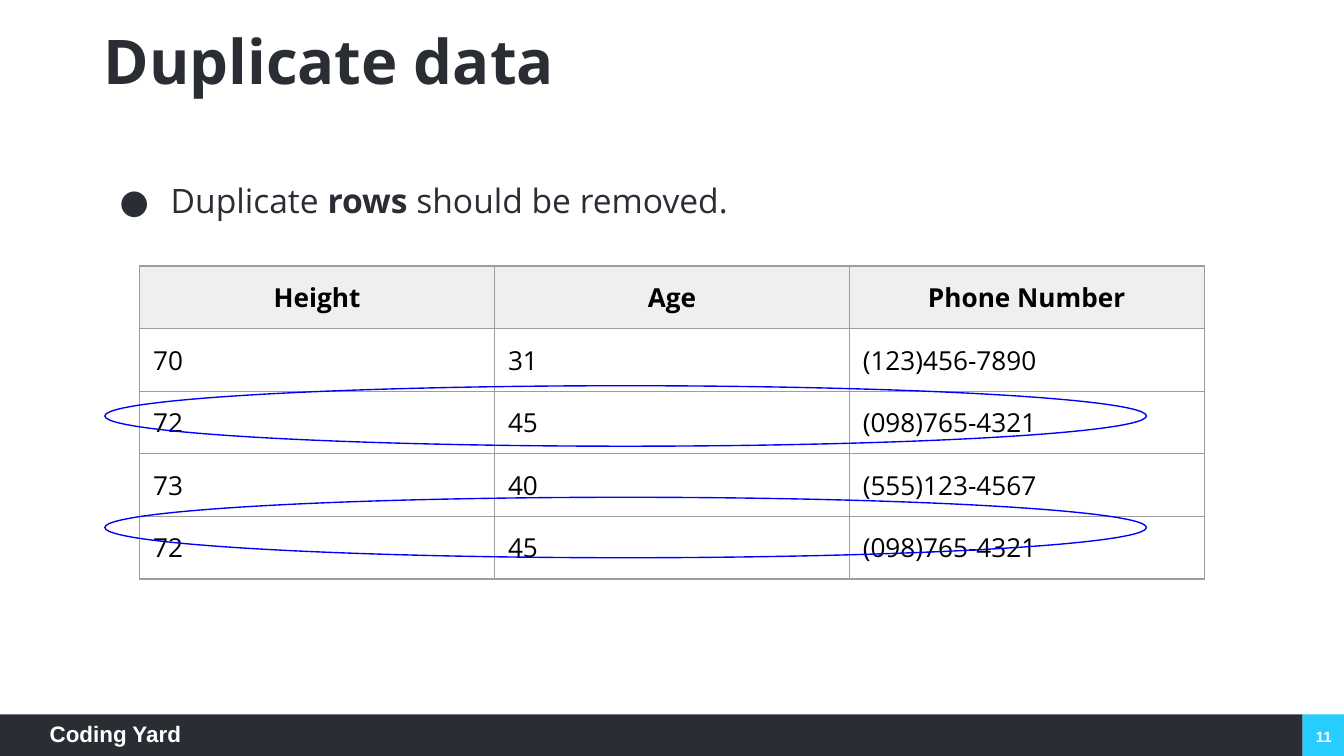
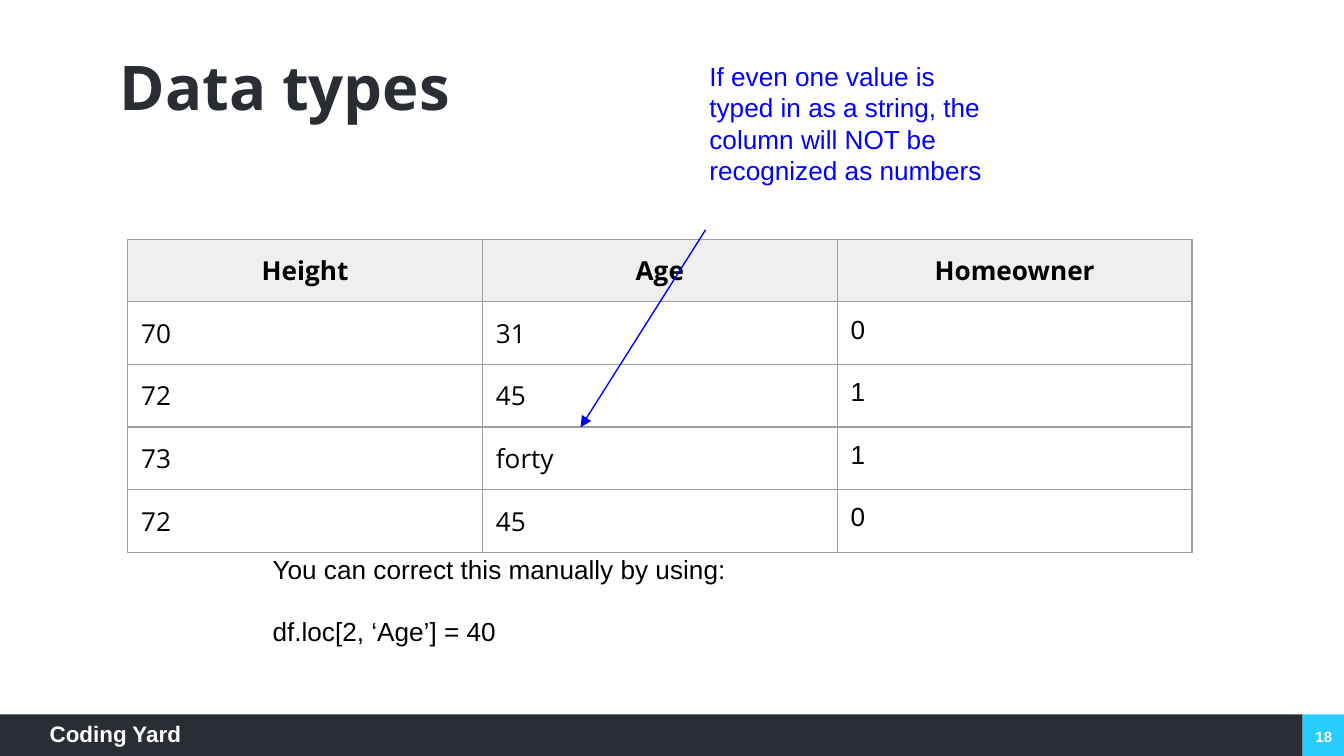
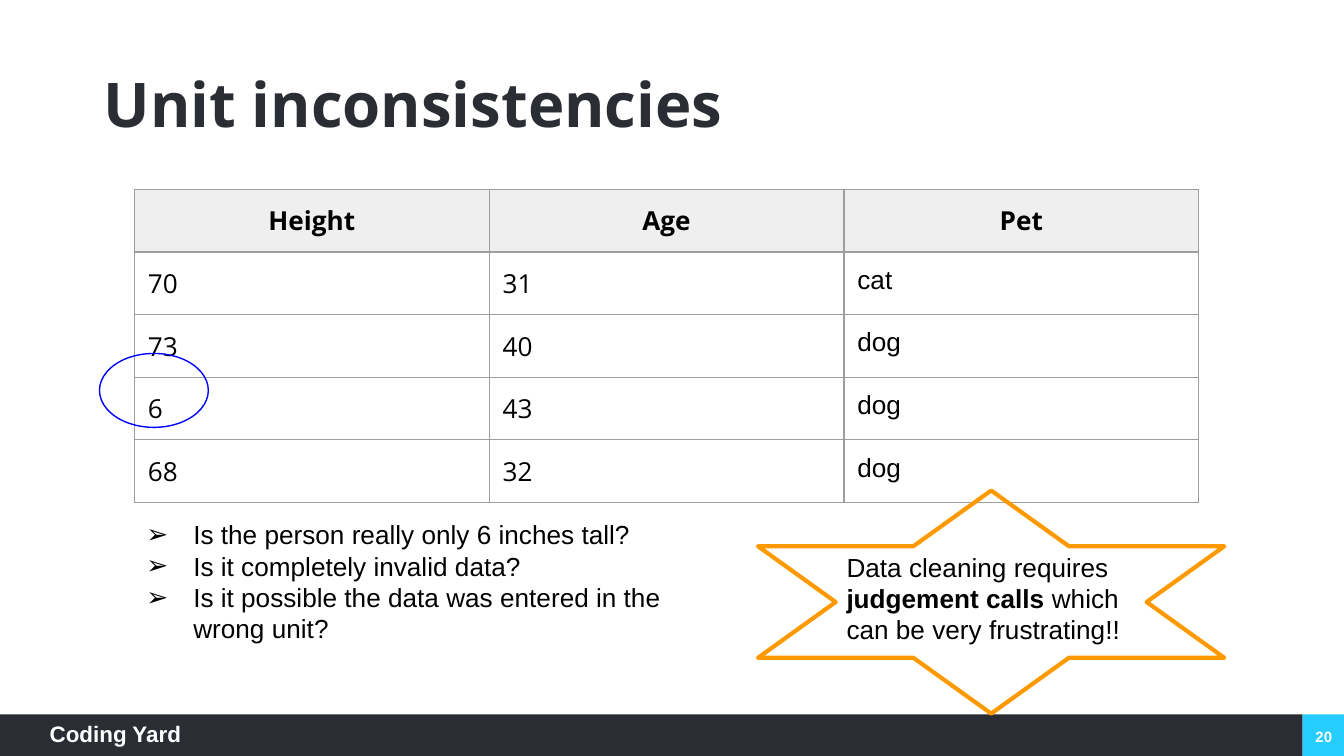
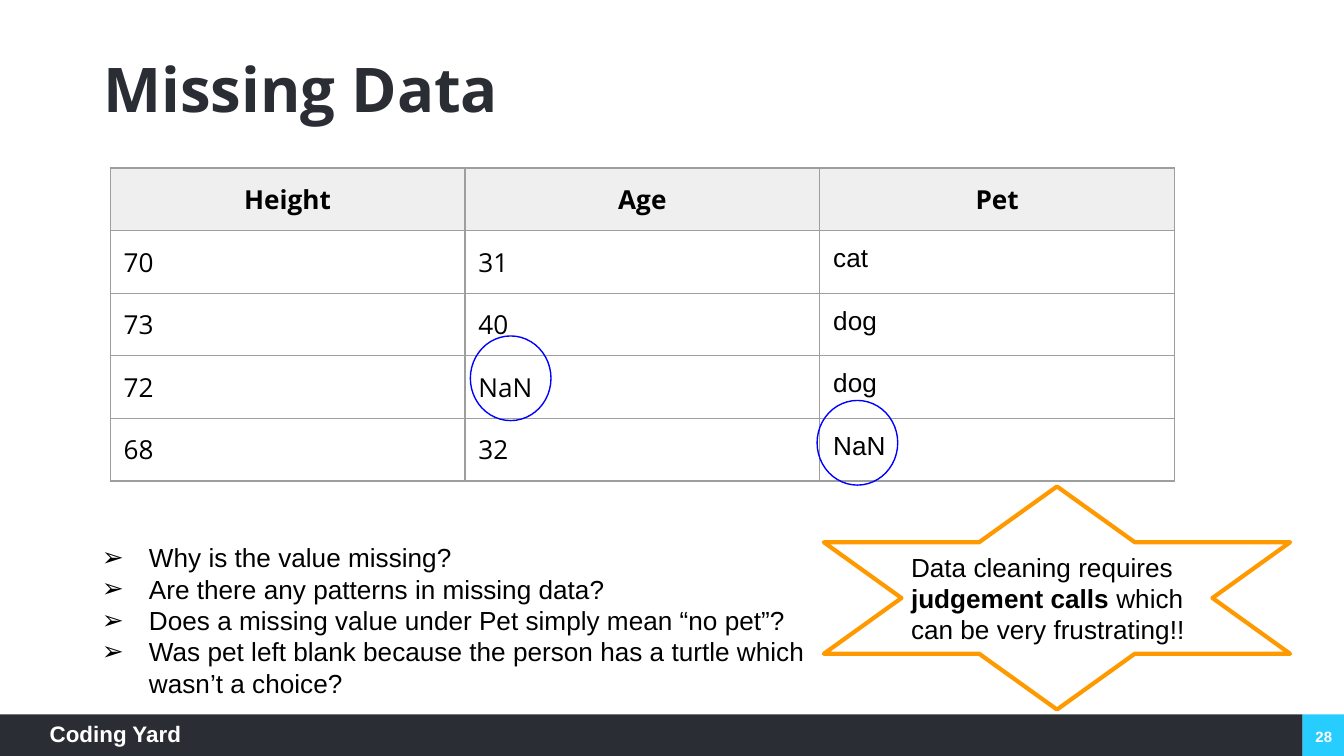
from pptx import Presentation
from pptx.dml.color import RGBColor
from pptx.enum.shapes import MSO_CONNECTOR as Connector, MSO_SHAPE as Shape
from pptx.enum.text import MSO_ANCHOR as Anchor, PP_ALIGN as Align
from pptx.oxml import parse_xml
from pptx.oxml.ns import nsdecls
from pptx.util import Inches, Pt

# Shared look
WIDTH = 10
HEIGHT = WIDTH * 9 / 16
BAND = 0.31
DARK, CYAN, BLUE, ORANGE = "2A2D34", "28CDFF", "0000FF", "FF9900"
BLACK, WHITE, GRAY, PALE = "000000", "FFFFFF", "9E9E9E", "EFEFEF"
HEADING, BODY = "Open Sans", "Arial"
COLUMN, TABLE_HEIGHT = 2.64, 2.33
TIGHT = (0.08, 0.04)
color = RGBColor.from_string


def write_text(frame, lines, size=14, fill=BLACK, font=BODY, bold=False,
               align=Align.LEFT, spacing=None, after=0, bullet=None, hanging=0.35):
    """Fill a text frame; parts between ** are bold."""
    for index, line in enumerate(lines):
        paragraph = frame.paragraphs[0] if index == 0 else frame.add_paragraph()
        paragraph.alignment = align
        if spacing:
            paragraph.line_spacing = spacing
        if after:
            paragraph.space_after = Pt(after)
        if bullet:
            properties = paragraph._p.get_or_add_pPr()
            properties.set("marL", str(Inches(0.5)))
            properties.set("indent", str(-Inches(hanging)))
            for mark in (f'<a:buClr {nsdecls("a")}><a:srgbClr val="{fill}"/></a:buClr>',
                         f'<a:buFont {nsdecls("a")} typeface="{font}"/>',
                         f'<a:buChar {nsdecls("a")} char="{bullet}"/>'):
                properties.append(parse_xml(mark))
        for part, text in enumerate(line.split("**")):
            run = paragraph.add_run()
            run.text = text
            run.font.size, run.font.name = Pt(size), font
            run.font.bold = bold or part % 2 == 1
            run.font.color.rgb = color(fill)


def add_text(slide, box, lines, inset=(0.1, 0.1), anchor=Anchor.TOP, **style):
    """Add a wrapped text box at left, top, width, height."""
    frame = slide.shapes.add_textbox(*map(Inches, box)).text_frame
    frame.word_wrap = True
    frame.vertical_anchor = anchor
    frame.margin_left = frame.margin_right = Inches(inset[0])
    frame.margin_top = frame.margin_bottom = Inches(inset[1])
    write_text(frame, lines, **style)


# Slide contents
pages = [
    dict(number=11, title="Duplicate data", title_at=(0.69, 0.07), table_at=(1.04, 1.98),
         last_font=HEADING,
         rows=[("Height", "Age", "Phone Number"),
               ("70", "31", "(123)456-7890"),
               ("72", "45", "(098)765-4321"),
               ("73", "40", "(555)123-4567"),
               ("72", "45", "(098)765-4321")],
         circles=[(0.78, 2.87, 7.75, 0.45), (0.78, 3.7, 7.75, 0.45)]),
    dict(number=18, title="Data types", title_at=(0.81, 0.26), table_at=(0.95, 1.78),
         rows=[("Height", "Age", "Homeowner"),
               ("70", "31", "0"),
               ("72", "45", "1"),
               ("73", "forty", "1"),
               ("72", "45", "0")]),
    dict(number=20, title="Unit inconsistencies", title_at=(0.69, 0.39), table_at=(1, 1.41),
         rows=[("Height", "Age", "Pet"),
               ("70", "31", "cat"),
               ("73", "40", "dog"),
               ("6", "43", "dog"),
               ("68", "32", "dog")],
         circles=[(0.74, 2.63, 0.81, 0.55)],
         questions_box=(0.84, 3.76, 4.34, 1.14),
         questions=["Is the person really only 6 inches tall?",
                    "Is it completely invalid data?",
                    "Is it possible the data was entered in the wrong unit?"],
         star_at=(5.64, 3.65), advice_left=6.2),
    dict(number=28, title="Missing Data", title_at=(0.69, 0.28), table_at=(0.82, 1.25),
         rows=[("Height", "Age", "Pet"),
               ("70", "31", "cat"),
               ("73", "40", "dog"),
               ("72", "NaN", "dog"),
               ("68", "32", "NaN")],
         circles=[(3.5, 2.5, 0.6, 0.63), (6.08, 2.98, 0.6, 0.63)],
         questions_box=(0.51, 3.93, 5.69, 1.38),
         questions=["Why is the value missing?",
                    "Are there any patterns in missing data?",
                    "Does a missing value under Pet simply mean “no pet”?",
                    "Was pet left blank because the person has a turtle which wasn’t a choice?"],
         star_at=(6.13, 3.62), advice_left=6.68),
]

presentation = Presentation()
presentation.slide_width, presentation.slide_height = Inches(WIDTH), Inches(HEIGHT)
slides = []

for page in pages:
    slide = presentation.slides.add_slide(presentation.slide_layouts[6])
    slides.append(slide)

    # Footer band, name and page number
    for left, width, fill in [(WIDTH - BAND, BAND, CYAN), (0, WIDTH - BAND, DARK)]:
        band = slide.shapes.add_shape(Shape.RECTANGLE, Inches(left), Inches(HEIGHT - BAND),
                                      Inches(width), Inches(BAND))
        band.shadow.inherit = False
        band.fill.solid()
        band.fill.fore_color.rgb = color(fill)
        band.line.fill.background()
    add_text(slide, (0.37, 5.36, 1.57, 0.23), ["Coding Yard"], inset=(0, 0),
             size=12, fill=WHITE, bold=True)
    add_text(slide, (9.7, 5.33, 0.3, 0.3), [str(page["number"])], inset=TIGHT,
             anchor=Anchor.MIDDLE, size=8, fill=WHITE, bold=True, align=Align.CENTER)

    # Title
    add_text(slide, (*page["title_at"], 8.61, 0.82), [page["title"]], inset=TIGHT,
             anchor=Anchor.MIDDLE, size=33, fill=DARK, font=HEADING, bold=True, spacing=0.9)

    # Data table
    rows = page["rows"]
    left, top = page["table_at"]
    table = slide.shapes.add_table(len(rows), 3, Inches(left), Inches(top),
                                   Inches(3 * COLUMN), Inches(TABLE_HEIGHT)).table
    table.first_row = table.horz_banding = False
    for column in table.columns:
        column.width = Inches(COLUMN)
    for row_index, values in enumerate(rows):
        is_header = row_index == 0
        for column_index, value in enumerate(values):
            cell = table.cell(row_index, column_index)
            cell.margin_left = cell.margin_right = Inches(0.1)
            cell.margin_top = cell.margin_bottom = Inches(0.1)
            for side in "LRTB":
                cell._tc.get_or_add_tcPr().append(parse_xml(
                    f'<a:ln{side} {nsdecls("a")} w="{Pt(0.75)}"><a:solidFill>'
                    f'<a:srgbClr val="{GRAY}"/></a:solidFill></a:ln{side}>'))
            if is_header:
                cell.fill.solid()
                cell.fill.fore_color.rgb = color(PALE)
            else:
                cell.fill.background()
            is_last = column_index == 2 and not is_header
            write_text(cell.text_frame, [value], bold=is_header,
                       font=page.get("last_font", BODY) if is_last else HEADING,
                       align=Align.CENTER if is_header else Align.LEFT)

    # Circled values and the star
    outlines = [(Shape.OVAL, box, BLUE, 0.75) for box in page.get("circles", [])]
    if "star_at" in page:
        outlines.append((Shape.STAR_6_POINT, (*page["star_at"], 3.47, 1.66), ORANGE, 2.25))
    for kind, box, stroke, weight in outlines:
        outline = slide.shapes.add_shape(kind, *map(Inches, box))
        outline.shadow.inherit = False
        outline.fill.background()
        outline.line.color.rgb = color(stroke)
        outline.line.width = Pt(weight)

    # Questions and the advice in the star
    if "questions" in page:
        add_text(slide, page["questions_box"], page["questions"], bullet="➢")
        add_text(slide, (page["advice_left"], 4, 2.35, 0.91),
                 ["Data cleaning requires **judgement calls **which can be very frustrating!!"])

# Rule for duplicates
duplicates, data_types = slides[:2]
add_text(duplicates, (0.69, 1.03, 8.61, 0.95), ["Duplicate **rows** should be removed."],
         inset=TIGHT, anchor=Anchor.MIDDLE, size=18, fill=DARK, font=HEADING,
         spacing=0.9, bullet="●", hanging=0.38)

# Warning, arrow and fix for data types
arrow = data_types.shapes.add_connector(Connector.STRAIGHT, Inches(5.25), Inches(1.71),
                                        Inches(4.32), Inches(3.18))
arrow.line.color.rgb = color(BLUE)
arrow.line.width = Pt(0.75)
arrow.line._get_or_add_ln().append(parse_xml(f'<a:tailEnd {nsdecls("a")} type="triangle"/>'))
arrow._element.spPr.append(parse_xml(f'<a:effectLst {nsdecls("a")}/>'))
add_text(data_types, (5.18, 0.35, 2.29, 1.14),
         ["If even one value is typed in as a string, the column will NOT be "
          "recognized as numbers"], fill=BLUE)
add_text(data_types, (1.93, 4.02, 5.3, 0.91),
         ["You can correct this manually by using:", "df.loc[2, ‘Age’] = 40"], after=16)

presentation.save("out.pptx")
